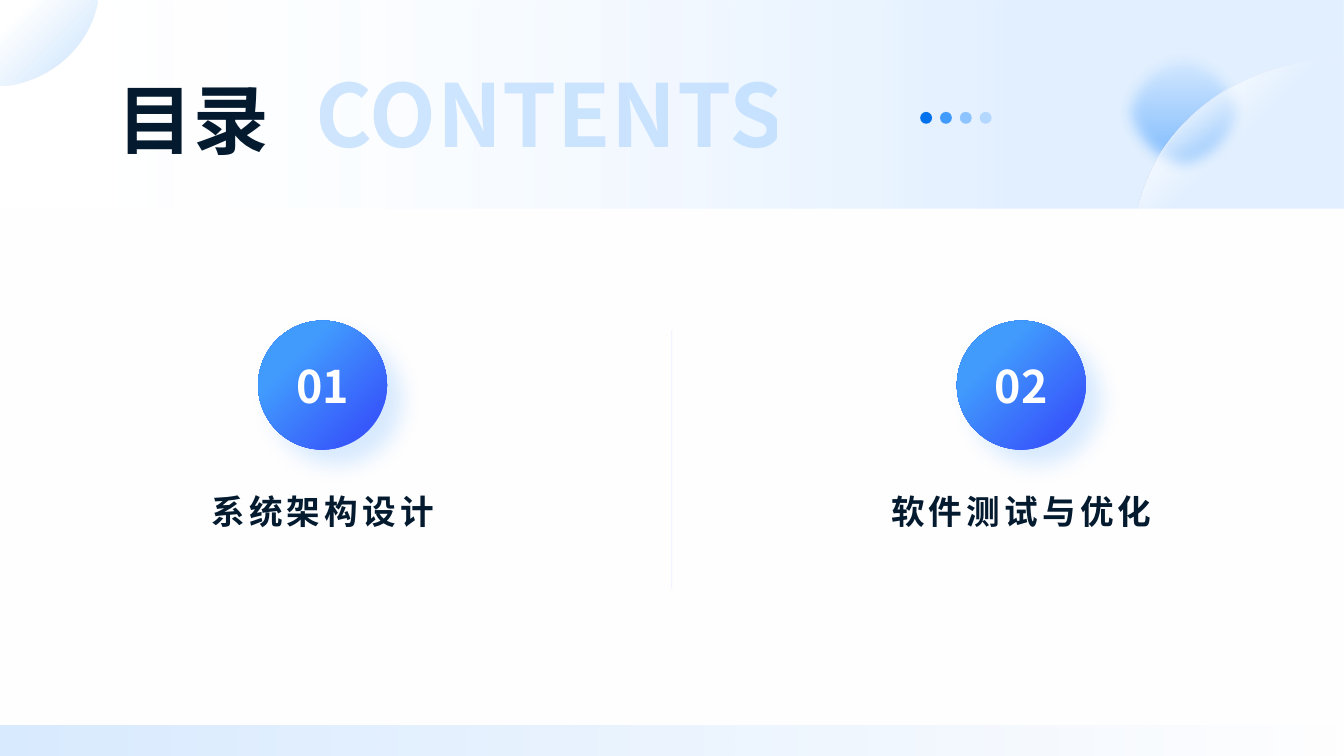
from lxml import etree
from pptx import Presentation
from pptx import util as u
from pptx.dml.color import RGBColor
from pptx.enum import shapes, text
from pptx.oxml.ns import qn

NAVY, BLUE, PALE, WHITE = "031A2F", "419BFD", "8DC3FE", "FFFFFF"
SANS = "Noto Sans CJK SC"


def rgb(hex_):
    return RGBColor.from_string(hex_)


def sub(parent, tag, **attrs):
    return etree.SubElement(parent, qn(tag), {k: str(v) for k, v in attrs.items()})


def add_alpha(parent, percent):
    """Make the first colour below parent partly transparent."""
    clr = next(parent.iter(qn("a:srgbClr")))
    sub(clr, "a:alpha", val=percent * 1000)


def curve(p0, p1, p2, p3, steps=40):
    """Points along a cubic curve, both ends included."""
    pts = []
    for i in range(steps + 1):
        t = i / steps
        weights = ((1 - t) ** 3, 3 * t * (1 - t) ** 2, 3 * t * t * (1 - t), t ** 3)
        pts.append(tuple(sum(w * p[axis] for w, p in zip(weights, (p0, p1, p2, p3)))
                         for axis in (0, 1)))
    return pts


class Deck:
    def __init__(self, width, height):
        self.prs = Presentation()
        self.prs.slide_width, self.prs.slide_height = u.Cm(width), u.Cm(height)
        self.slide = self.prs.slides.add_slide(self.prs.slide_layouts[6])

    def style(self, sp, fill, angle=0, line=None):
        """fill is a hex colour or a list of (position, colour, alpha) stops."""
        sp.shadow.inherit = False
        if isinstance(fill, str):
            sp.fill.solid()
            sp.fill.fore_color.rgb = rgb(fill)
        else:
            sp.fill.background()
            old = sp._element.spPr.find(qn("a:noFill"))
            grad = etree.Element(qn("a:gradFill"), rotWithShape="1")
            stops = sub(grad, "a:gsLst")
            for pos, color, alpha in fill:
                stop = sub(stops, "a:gs", pos=pos * 1000)
                sub(stop, "a:srgbClr", val=color)
                add_alpha(stop, alpha)
            sub(grad, "a:lin", ang=angle * 60000, scaled=0)
            old.getparent().replace(old, grad)
        if line:
            sp.line.color.rgb, sp.line.width = rgb(line), u.Pt(0.5)
        else:
            sp.line.fill.background()
        return sp

    def shape(self, kind, x, y, w, h, fill, angle=0):
        sp = self.slide.shapes.add_shape(kind, u.Cm(x), u.Cm(y), u.Cm(w), u.Cm(h))
        return self.style(sp, fill, angle)

    def rect(self, *args):
        return self.shape(shapes.MSO_SHAPE.RECTANGLE, *args)

    def circle(self, x, y, d, fill, angle=0):
        return self.shape(shapes.MSO_SHAPE.OVAL, x, y, d, d, fill, angle)

    def outline(self, pts, fill, angle, line=None):
        pts = [(u.Cm(x), u.Cm(y)) for x, y in pts]
        fb = self.slide.shapes.build_freeform(*pts[0])
        fb.add_line_segments(pts[1:], close=True)
        return self.style(fb.convert_to_shape(), fill, angle, line)

    def effect(self, sp, tag, **attrs):
        return sub(sp._element.spPr.find(qn("a:effectLst")), tag, **attrs)

    def divider(self, x, y1, y2, color, alpha):
        ln = self.slide.shapes.add_connector(
            shapes.MSO_CONNECTOR.STRAIGHT, u.Cm(x), u.Cm(y1), u.Cm(x), u.Cm(y2))
        ln.line.color.rgb, ln.line.width = rgb(color), u.Pt(0.5)
        add_alpha(ln._element.spPr, alpha)
        sub(ln._element.spPr, "a:effectLst")

    def set_text(self, sp, words, size, color, font=SANS, align=None, spacing=0,
                 line_spacing=None, **frame):
        tf = sp.text_frame
        for name, value in frame.items():
            setattr(tf, name, value)
        p = tf.paragraphs[0]
        for name, value in {"alignment": align, "line_spacing": line_spacing}.items():
            setattr(p, name, value)
        r = p.add_run()
        r.text = words
        for name, value in {"size": u.Pt(size), "bold": True, "name": font}.items():
            setattr(r.font, name, value)
        r.font.color.rgb = rgb(color)
        rPr = r._r.get_or_add_rPr()
        if spacing:
            rPr.set("spc", str(int(spacing * 100)))
        if font == SANS:
            sub(rPr, "a:ea", typeface=font)
        return r

    def label(self, x, y, w, h, words, size, color, **fmt):
        sp = self.slide.shapes.add_textbox(u.Cm(x), u.Cm(y), u.Cm(w), u.Cm(h))
        return self.set_text(sp, words, size, color, **{"word_wrap": True, **fmt})


def main():
    W, H = 33.87, 19.05
    deck = Deck(W, H)
    middle, center = text.MSO_ANCHOR.MIDDLE, text.PP_ALIGN.CENTER
    no_margins = dict.fromkeys(
        ("margin_left", "margin_top", "margin_right", "margin_bottom"), 0)

    # Background and header decoration
    deck.rect(0, 0, W, H, [(0, WHITE, 0), (76, BLUE, 15)])
    ball = deck.circle(28.12, 1.09, 3.4, [(0, BLUE, 0), (100, BLUE, 70)], 90)
    deck.effect(ball, "a:softEdge", rad=u.Pt(10))
    arc = curve((28.7, 5.16), (29.21, 3.05), (31.32, 1.47), (W, 1.47))
    deck.outline([(W, 5.49), (28.65, 5.49)] + arc,
                 [(50, WHITE, 5), (71, WHITE, 68)], 225, "E6EFFE")

    # Content panel, footer band and corner
    deck.rect(0, 5.26, W, H - 5.26, "FEFEFF")
    deck.rect(0, 18.29, W, H - 18.29, [(0, "D9EBFF", 0), (100, "D9EBFF", 100)], 180)
    corner = curve((2.46, 0.08), (2.24, 1.19), (1.3, 2.03), (0.15, 2.16))
    deck.outline([(0, 0), (2.46, 0)] + corner + [(0, 2.16)],
                 [(20, BLUE, 0), (100, BLUE, 30)], 45)

    # Fading dots
    for i, color in enumerate(("0272EC", BLUE, PALE, "B3D7FE")):
        deck.circle(23.19 + 0.5 * i, 2.82, 0.3, color)

    # Heading
    deck.label(2.97, 1.47, 4.88, 3, "目录", 54, NAVY, font="Arial",
               vertical_anchor=middle, **no_margins)
    r = deck.label(7.95, 1.25, 13, 3.17, "CONTENTS", 62, PALE, spacing=0.5,
                   vertical_anchor=middle, **no_margins)
    add_alpha(r._r, 40)

    # Numbered sections
    deck.divider(16.93, 8.33, 14.83, "D7DEFE", 50)
    d, w = 3.25, 8.43
    sections = ((8.13, "系统架构设计"), (25.74, "软件测试与优化"))
    for number, (cx, name) in enumerate(sections, 1):
        badge = deck.circle(cx - d / 2, 8.08, d,
                            [(17, "3758FB", 100), (72, BLUE, 100)], 225)
        shadow = deck.effect(badge, "a:outerShdw", blurRad=u.Pt(15), dist=u.Pt(15),
                             dir=45 * 60000, algn="tl", rotWithShape=0)
        sub(shadow, "a:srgbClr", val=BLUE)
        add_alpha(shadow, 20)
        deck.set_text(badge, f"{number:02}", 32, WHITE, align=center,
                      vertical_anchor=middle, word_wrap=False)
        deck.label(cx - w / 2, 12.14, w, 2.69, name, 24, NAVY, align=center,
                   spacing=3, line_spacing=1.1)

    deck.prs.save("out.pptx")


if __name__ == "__main__":
    main()
